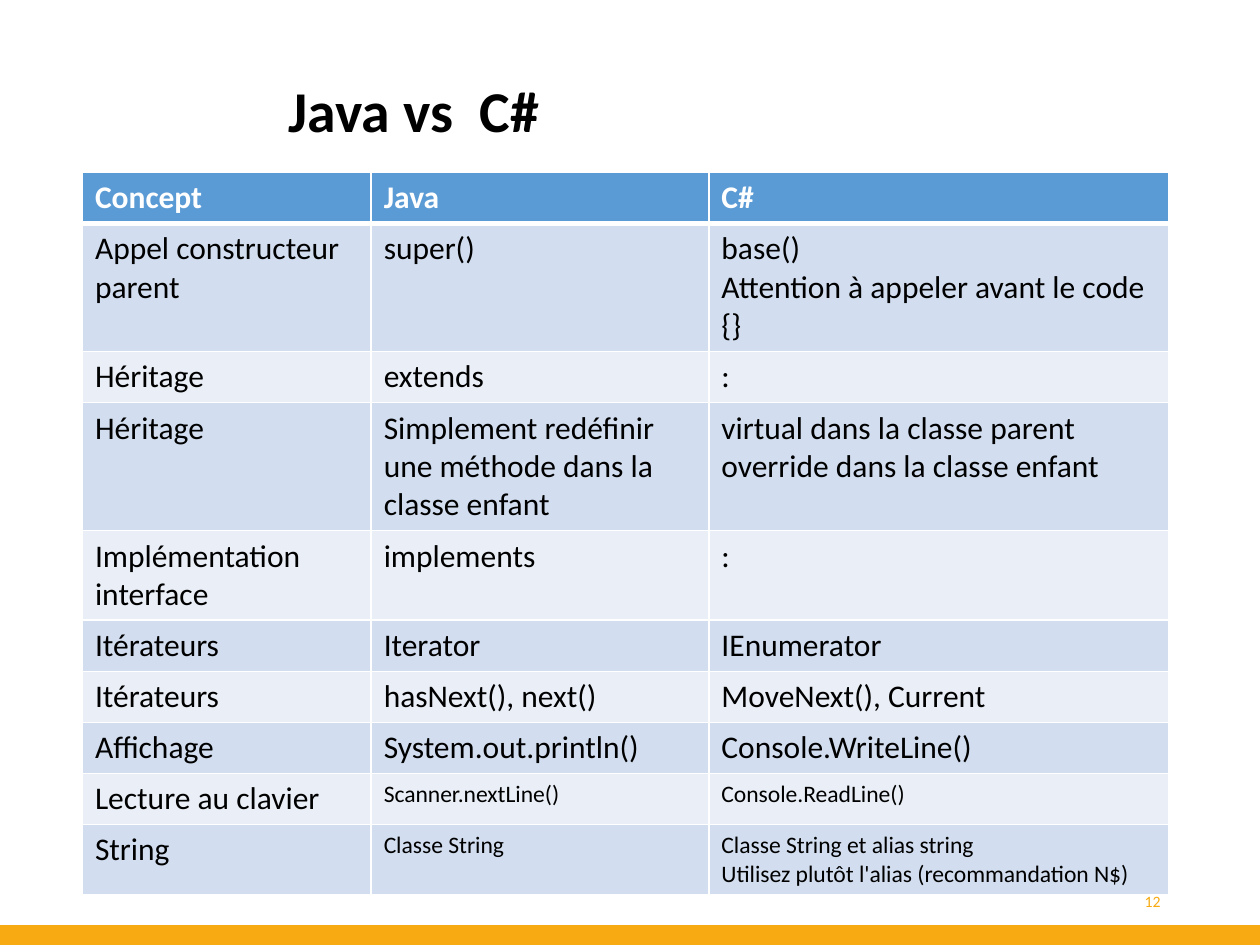
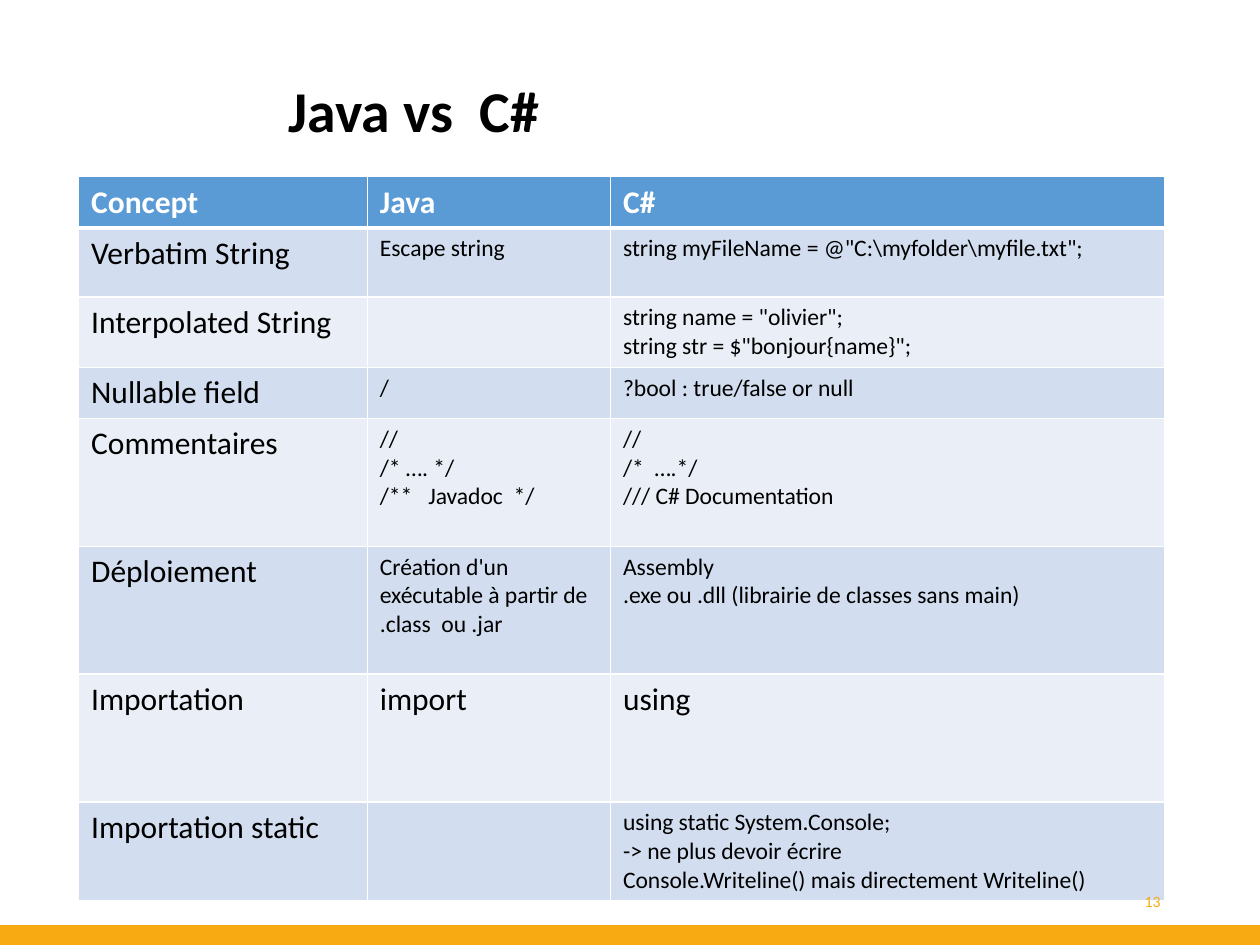
from lxml import etree
from pptx import Presentation
from pptx.dml.color import RGBColor
from pptx.enum import shapes, text
from pptx.oxml import ns
from pptx.util import Pt

# Shared look
FONT = "Calibri"
BLACK, WHITE, GOLD = "000000", "FFFFFF", "F8AA12"
HEAD, BANDS = "5B9BD5", ("D2DEEF", "EAEFF7")
WIDE, HIGH = 720, 540
BIG, SMALL = 18, 13.5
TITLE = "Java vs  C#"
NAMES = ("Concept", "Java", "C#")

# Rows: height, size of the two language columns, then the cell texts
BASICS = [
    (73.1, BIG, "Appel constructeur parent", "super()",
     "base()\nAttention à appeler avant le code {}"),
    (29.2, BIG, "Héritage", "extends", ":"),
    (73.1, BIG, "Héritage",
     "Simplement redéfinir une méthode dans la classe enfant",
     "virtual dans la classe parent\noverride dans la classe enfant"),
    (51.1, BIG, "Implémentation interface", "implements", ":"),
    (29.2, BIG, "Itérateurs", "Iterator", "IEnumerator"),
    (29.2, BIG, "Itérateurs", "hasNext(), next()", "MoveNext(), Current"),
    (29.2, BIG, "Affichage", "System.out.println()", "Console.WriteLine()"),
    (29.2, SMALL, "Lecture au clavier", "Scanner.nextLine()",
     "Console.ReadLine()"),
    (39.7, SMALL, "String", "Classe String",
     "Classe String et alias string\n"
     "Utilisez plutôt l'alias (recommandation N$)"),
]
EXTRAS = [
    (39.6, SMALL, "Verbatim String", "Escape string",
     r'string myFileName = @"C:\myfolder\myfile.txt";'),
    (40.2, SMALL, "Interpolated String", "",
     'string name = "olivier";\nstring str = $"bonjour{name}";'),
    (29.2, SMALL, "Nullable field", "/", "?bool : true/false or null"),
    (73, SMALL, "Commentaires", "//\n/* …. */\n/**   Javadoc  */",
     "//\n/*  ….*/\n/// C# Documentation"),
    (73, SMALL, "Déploiement",
     "Création d'un exécutable à partir de\n.class  ou .jar",
     "Assembly\n.exe ou .dll (librairie de classes sans main)"),
    (73, BIG, "Importation", "import", "using"),
    (56.5, SMALL, "Importation static", "",
     "using static System.Console;\n-> ne plus devoir écrire\n"
     "Console.Writeline() mais directement Writeline()"),
]


def paint(part, color):
    """Give a fill, or the fill of a font or line, a solid colour."""
    part.solid()
    part.fore_color.rgb = RGBColor.from_string(color)


def write(frame, words, size=BIG, color=BLACK, bold=False,
          align=text.PP_ALIGN.LEFT, lead=None):
    """Write one paragraph for each line of words."""
    frame.word_wrap = True
    for i, line in enumerate(words.split("\n")):
        para = frame.add_paragraph() if i else frame.paragraphs[0]
        para.alignment = align
        if lead:
            para.line_spacing = lead
        run = para.add_run()
        run.text = line
        run.font.name, run.font.size, run.font.bold = FONT, Pt(size), bold
        paint(run.font.fill, color)


def edge(cell, **widths):
    """Draw white borders of the given widths, keyed by side."""
    props = cell._tc.get_or_add_tcPr()
    for i, side in enumerate("LRTB"):
        line = etree.Element(ns.qn("a:ln" + side),
                             w=str(Pt(widths.get(side, 1))))
        fill = etree.SubElement(line, ns.qn("a:solidFill"))
        etree.SubElement(fill, ns.qn("a:srgbClr"), val=WHITE)
        props.insert(i, line)


def fill_cell(cell, words, back, **style):
    paint(cell.fill, back)
    if words:
        write(cell.text_frame, words, **style)


def add_grid(slide, left, top, cols, rows):
    """Add the comparison table with its heading and banded rows."""
    heights = [29] + [row[0] for row in rows]
    grid = slide.shapes.add_table(
        len(heights), len(cols), Pt(left), Pt(top),
        Pt(sum(cols)), Pt(sum(heights))).table
    grid.horz_banding = False
    for col, width in zip(grid.columns, cols):
        col.width = Pt(width)
    for row, height in zip(grid.rows, heights):
        row.height = Pt(height)

    for c, name in enumerate(NAMES):
        cell = grid.cell(0, c)
        fill_cell(cell, name, HEAD, color=WHITE, bold=True)
        edge(cell, B=3)
    for r, (_, size, *words) in enumerate(rows, 1):
        for c, word in enumerate(words):
            cell = grid.cell(r, c)
            fill_cell(cell, word, BANDS[(r - 1) % 2],
                      size=size if c else BIG)
            edge(cell, T=3 if r == 1 else 1)


def add_band(slide):
    band = slide.shapes.add_shape(
        shapes.MSO_SHAPE.RECTANGLE, 0, Pt(HIGH - 10.8), Pt(WIDE), Pt(10.8))
    band.shadow.inherit = False
    paint(band.fill, GOLD)
    paint(band.line.fill, GOLD)
    band.line.width = Pt(1)


def add_title(slide):
    title = slide.shapes.title
    title.left, title.top = Pt(157.7), Pt(8.6)
    title.width, title.height = Pt(534.2), Pt(113)
    title.text_frame.vertical_anchor = text.MSO_ANCHOR.MIDDLE
    write(title.text_frame, TITLE, size=33, bold=True, lead=0.9)


def add_number(slide, number):
    box = slide.shapes.add_textbox(Pt(508.3), Pt(500.4), Pt(162), Pt(28.8))
    box.text_frame.vertical_anchor = text.MSO_ANCHOR.MIDDLE
    write(box.text_frame, str(number), size=9, color=GOLD,
          align=text.PP_ALIGN.RIGHT)


def add_page(deck, number, *grid):
    slide = deck.slides.add_slide(deck.slide_layouts[5])
    add_band(slide)
    add_title(slide)
    add_grid(slide, *grid)
    add_number(slide, number)


def main():
    deck = Presentation()
    deck.slide_width, deck.slide_height = Pt(WIDE), Pt(HIGH)
    add_page(deck, 12, 47.1, 98.6, (165, 193, 262.6), BASICS)
    add_page(deck, 13, 44.9, 101, (165, 139, 316.8), EXTRAS)
    deck.save("out.pptx")


if __name__ == "__main__":
    main()
